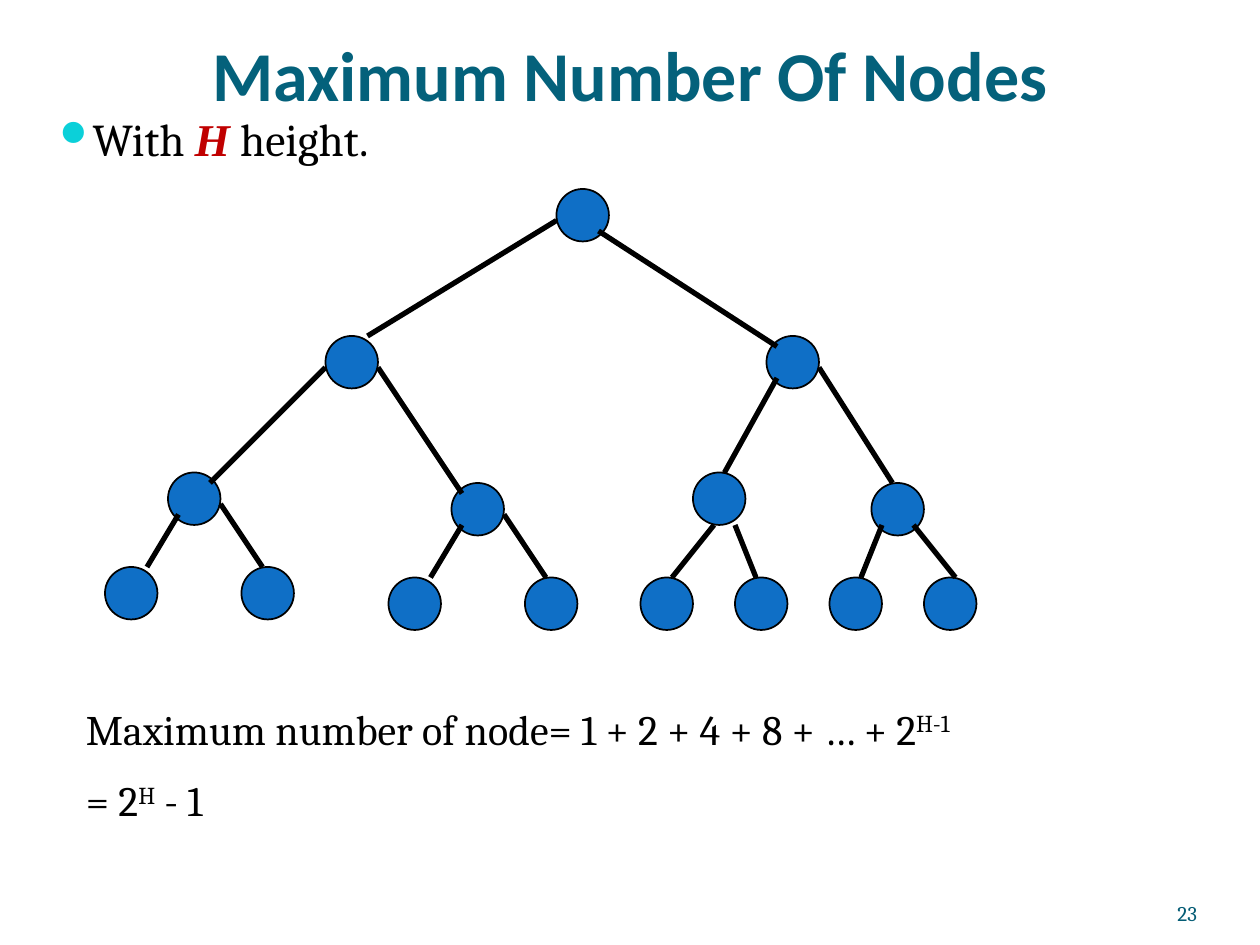
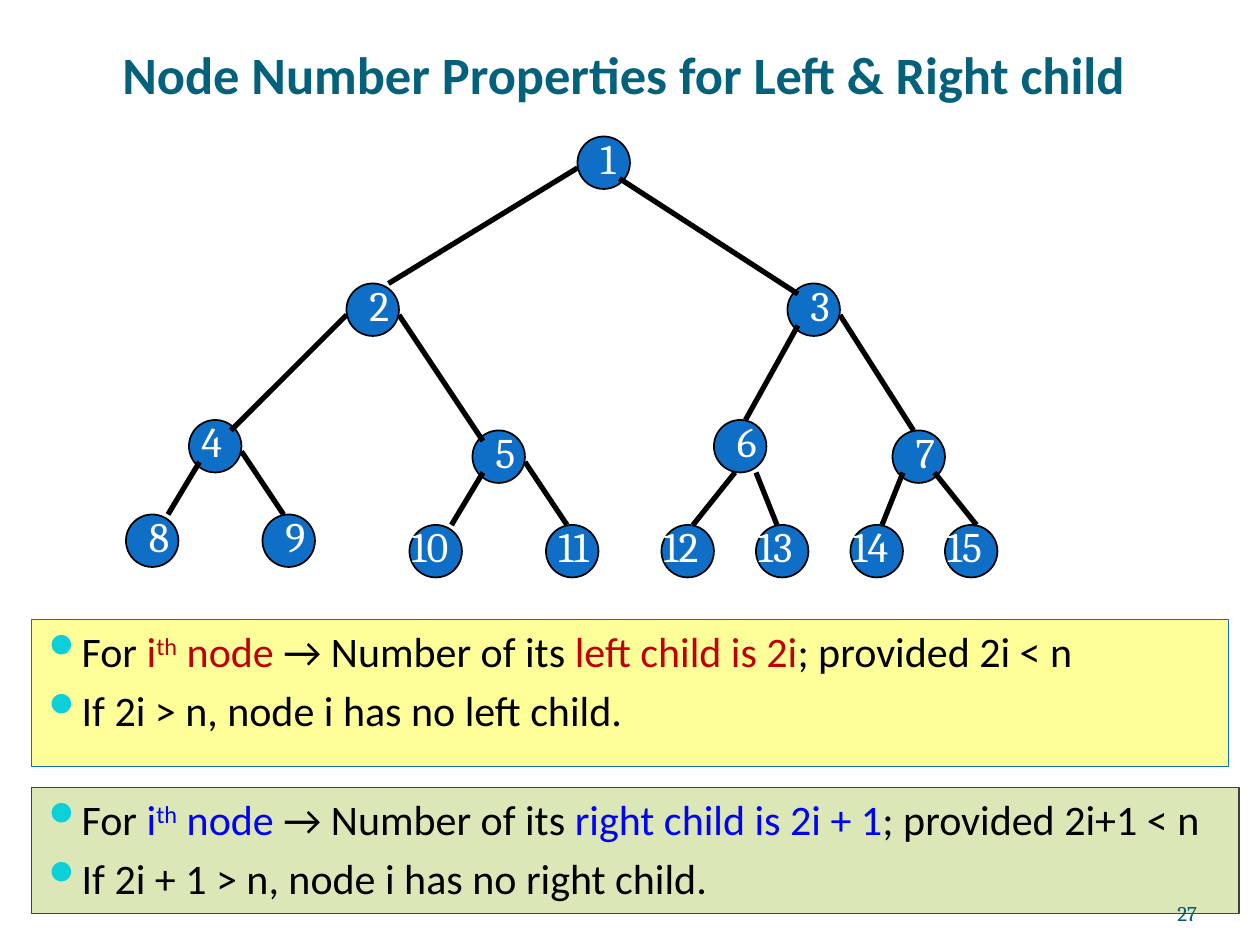
import pptx
import pptx.dml.color
import pptx.enum.shapes
import pptx.enum.text
import pptx.oxml.ns
import pptx.util
from lxml import etree

SCALE = 7620
STEP = 10
NODE = 50
SERIF, SANS, ROMAN = "Cambria", "Calibri", "Times New Roman"
BLACK, WHITE, TEAL, PAGE = "000000", "FFFFFF", "04617B", "045C75"
BLUE, CYAN, RED, LINK = "0F6FC6", "0BD0D9", "C00000", "0000FF"
YELLOW, GREEN, GREY = "FFFF99", "DBE7B6", "404040"
ALIGN = pptx.enum.text.PP_ALIGN
ANCHOR = pptx.enum.text.MSO_ANCHOR
KIND = pptx.enum.shapes.MSO_SHAPE
LINE = pptx.enum.shapes.MSO_CONNECTOR

NODES = [
    (53, 18),
    (31, 32), (73, 32),
    (16, 45), (43, 46), (66, 45), (83, 46),
    (10, 54), (23, 54), (37, 55), (50, 55),
    (61, 55), (70, 55), (79, 55), (88, 55),
]
EDGES = [
    (53, 21, 35, 32), (57, 22, 74, 33),
    (31, 35, 20, 46), (36, 35, 44, 47), (74, 36, 69, 45), (78, 35, 85, 46),
    (17, 49, 14, 54), (21, 48, 25, 54), (44, 50, 41, 55), (48, 49, 52, 55),
    (68, 50, 64, 55), (70, 50, 72, 55), (84, 50, 82, 55), (87, 50, 91, 55),
]
CENTRED = {4, 11}


def px(*sizes):
    return [size * SCALE for size in sizes]


def rgb(code):
    return pptx.dml.color.RGBColor.from_string(code)


def tag(name):
    return pptx.oxml.ns.qn("a:" + name)


class Deck:
    """Hold the shared style and the current slide."""

    def __init__(self):
        self.file = pptx.Presentation()
        self.file.slide_width, self.file.slide_height = px(1200, 900)
        self.slide = None

    def start(self):
        self.slide = self.file.slides.add_slide(self.file.slide_layouts[6])

    def bullet(self, para):
        props = para._p.get_or_add_pPr()
        props.set("marL", str(36 * SCALE))
        props.set("indent", str(-36 * SCALE))
        tint = etree.SubElement(props, tag("buClr"))
        etree.SubElement(tint, tag("srgbClr"), val=CYAN)
        etree.SubElement(props, tag("buChar"), char="⚫")

    def fill(self, shape, paras, size, font=SERIF, color=BLACK, align=ALIGN.LEFT,
             anchor=ANCHOR.TOP, inset=(12, 6, 12, 6), dots=False, gap=0):
        frame = shape.text_frame
        frame.word_wrap = True
        frame.vertical_anchor = anchor
        (frame.margin_left, frame.margin_top,
         frame.margin_right, frame.margin_bottom) = px(*inset)
        for index, parts in enumerate(paras):
            para = frame.add_paragraph() if index else frame.paragraphs[0]
            if dots:
                self.bullet(para)
            para.alignment = align
            if index:
                para.space_before = pptx.util.Pt(gap)
            para.font.size = pptx.util.Pt(size)
            para.font.name = font
            para.font.color.rgb = rgb(color)
            for part in parts:
                self.piece(para, *part)

    def piece(self, para, text, color=None, raised=False, font=None):
        run = para.add_run()
        run.text = text
        if color:
            run.font.color.rgb = rgb(color)
        if raised:
            run._r.get_or_add_rPr().set("baseline", "30000")
        if font:
            run.font.name = font
            run.font.bold = run.font.italic = True

    def text(self, box, paras, size, **style):
        shape = self.slide.shapes.add_textbox(*px(*box))
        self.fill(shape, paras, size, **style)
        return shape

    def title(self, box, words, size):
        shape = self.text(box, [[(words,)]], size, font=SANS, color=TEAL,
                          align=ALIGN.CENTER, anchor=ANCHOR.BOTTOM, inset=(0, 6, 0, 0))
        shape.text_frame.paragraphs[0].font.bold = True

    def page(self, number):
        self.text((1040, 834, 100, 48), [[(str(number),)]], 12, color=PAGE,
                  align=ALIGN.RIGHT, anchor=ANCHOR.BOTTOM, inset=(0, 0, 0, 0))

    def shape(self, kind, box, fill, line, width):
        shape = self.slide.shapes.add_shape(kind, *px(*box))
        shape.shadow.inherit = False
        shape.fill.solid()
        shape.fill.fore_color.rgb = rgb(fill)
        shape.line.color.rgb = rgb(line)
        shape.line.width = pptx.util.Pt(width)
        return shape

    def panel(self, box, fill, line, paras):
        shape = self.shape(KIND.RECTANGLE, box, fill, line, 0.75)
        self.fill(shape, paras, 24, font=SANS, dots=True, gap=4.8)

    def edge(self, *ends):
        line = self.slide.shapes.add_connector(LINE.STRAIGHT, *px(*ends))
        line.line.color.rgb = rgb(BLACK)
        line.line.width = pptx.util.Pt(3)
        etree.SubElement(line._element.spPr, tag("effectLst"))

    def label(self, number, left, top):
        wide = number > 9
        shift = 0 if number in CENTRED else -STEP if wide else STEP
        box = (left + shift, top - STEP, 80 if wide else 40, 60)
        self.text(box, [[(str(number),)]], 24, color=WHITE)

    def tree(self, right=0, down=0, labels=False):
        spots = [(x * STEP + right, y * STEP + down) for x, y in NODES]
        for left, top in spots:
            self.shape(KIND.OVAL, (left, top, NODE, NODE), BLUE, BLACK, 1)
        for x1, y1, x2, y2 in EDGES:
            self.edge(x1 * STEP + right, y1 * STEP + down,
                      x2 * STEP + right, y2 * STEP + down)
        if labels:
            for number, spot in enumerate(spots, 1):
                self.label(number, *spot)


def rule(color, child, limit, last):
    return [
        [("For ",), ("i", color), ("th", color, True), (" node ", color),
         ("→ Number of its ",), (child, color), (f"; provided {limit} < n",)],
        [(last,)],
    ]


def height(deck):
    deck.start()
    deck.title((90, 0, 1020, 110), "Maximum Number Of Nodes", 40)
    deck.text((40, 100, 1120, 140),
              [[("With ",), ("H", RED, False, ROMAN), (" height.",)]], 26, dots=True)
    deck.tree()
    deck.text((70, 664, 1000, 133), [
        [("Maximum number of node= 1 + 2 + 4 + 8 + … + 2",), ("H-1", None, True)],
        [("= 2",), ("H", None, True), (" - 1",)],
    ], 24, gap=12)
    deck.page(23)


def numbers(deck):
    deck.start()
    deck.title((40, -20, 1120, 120), "Node Number Properties for Left & Right child ", 30)
    deck.panel((30, 590, 1140, 140), YELLOW, BLUE,
               rule(RED, "left child is 2i", "2i",
                    "If 2i > n, node i has no left child."))
    deck.tree(20, -50, labels=True)
    deck.panel((30, 750, 1150, 120), GREEN, GREY,
               rule(LINK, "right child is 2i + 1", "2i+1",
                    "If 2i + 1 > n, node i has no right child."))
    deck.page(27)


def main():
    deck = Deck()
    height(deck)
    numbers(deck)
    deck.file.save("out.pptx")


if __name__ == "__main__":
    main()
